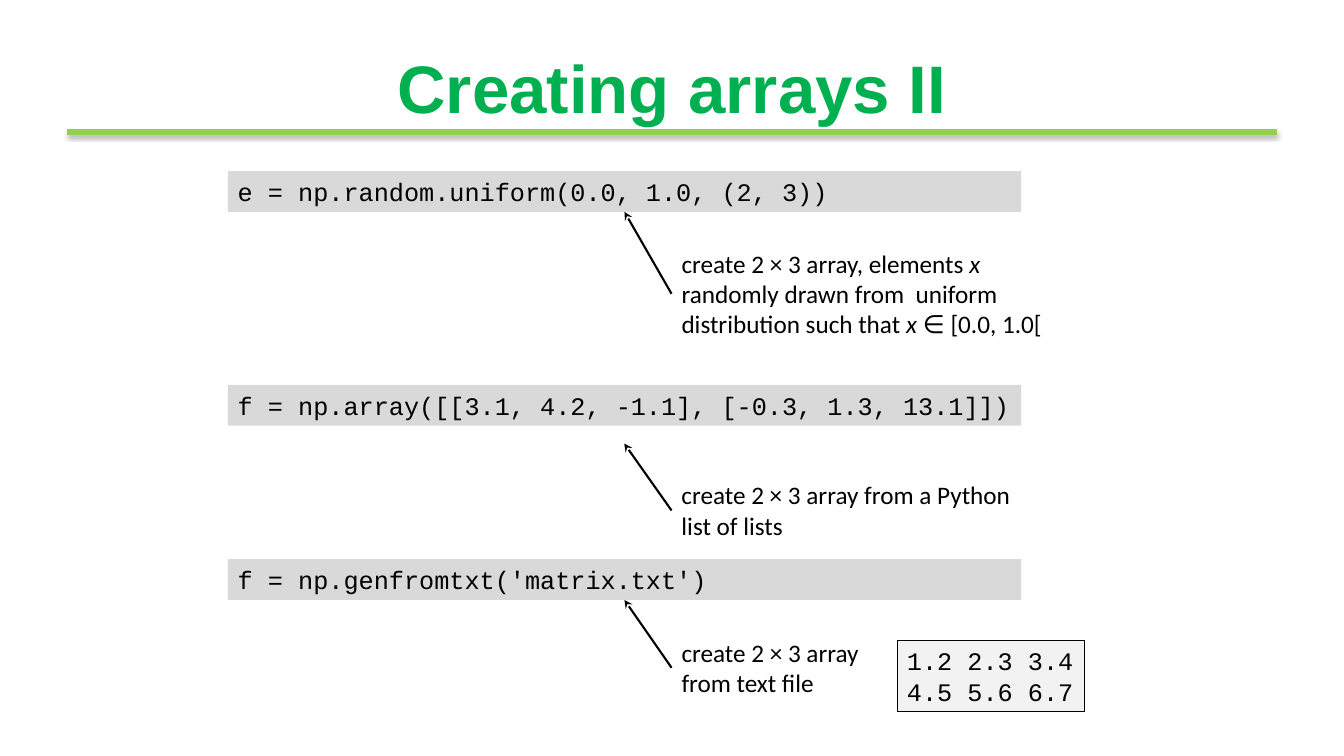
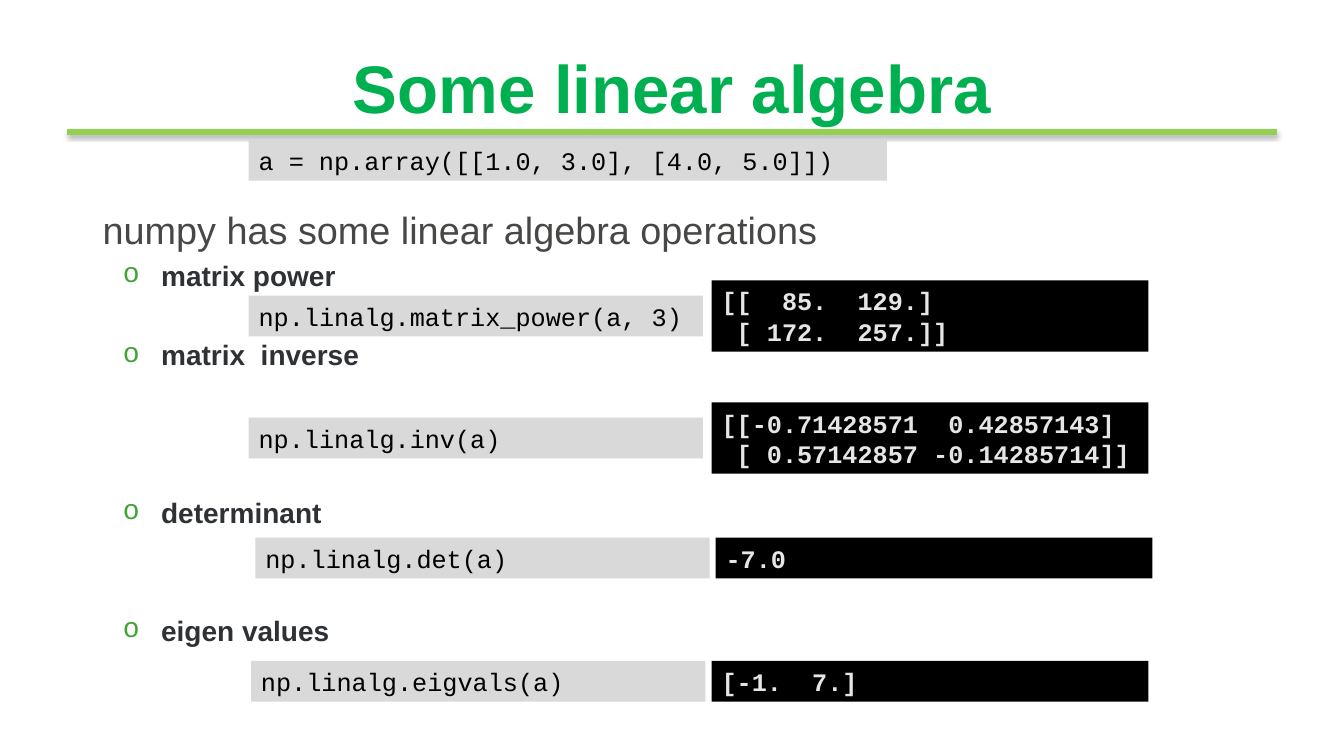
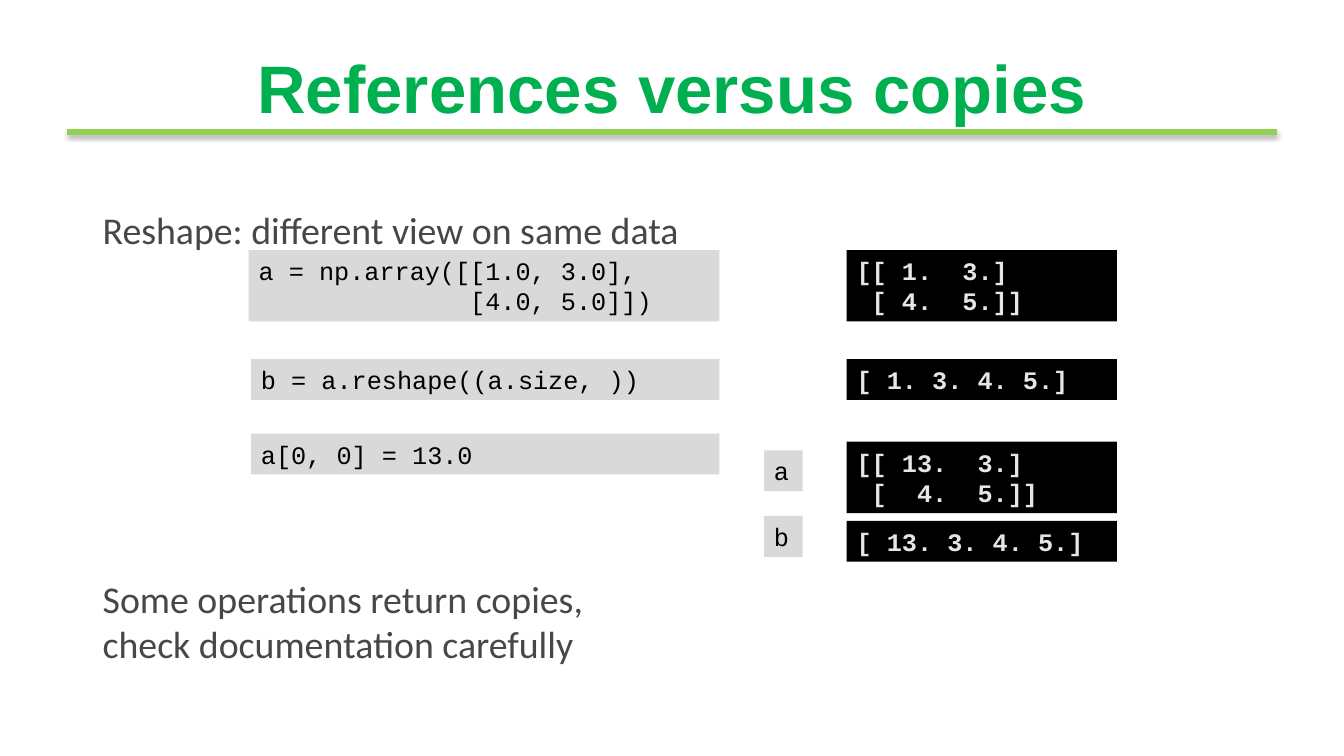
"""Build three slides about numpy arrays."""
from lxml import etree
from pptx import Presentation
from pptx.dml.color import RGBColor
from pptx.enum.shapes import MSO_CONNECTOR, MSO_SHAPE
from pptx.enum.text import MSO_ANCHOR, PP_ALIGN
from pptx.oxml.ns import qn
from pptx.util import Emu, Inches, Pt

STRAIGHT = MSO_CONNECTOR.STRAIGHT
RECT = MSO_SHAPE.RECTANGLE
MIDDLE, TOP = MSO_ANCHOR.MIDDLE, MSO_ANCHOR.TOP
LEFT, CENTER = PP_ALIGN.LEFT, PP_ALIGN.CENTER

C = {"title": "00B050", "rule": "92D050", "black": "000000", "code": "D9D9D9",
     "data": "F2F2F2", "output": "E7E6E6", "body": "474746",
     "item": "2E3135", "bullet": "41A336"}
LINE_FACTOR = {"Arial": 1.15, "Calibri": 1.22}
GAP = 4.8
WIDTH, HEIGHT = Inches(13.333), Inches(7.5)
LINE_H, PAD_H = 4.04, 1.36


def col(share):
    """Turn a percentage of the slide width into a length."""
    return Emu(round(WIDTH * share / 100))


def row(share):
    """Turn a percentage of the slide height into a length."""
    return Emu(round(HEIGHT * share / 100))


def rgb(name):
    """Look up a named colour."""
    return RGBColor.from_string(C[name])


def style(font, name, size, color, bold=False):
    """Set the face, size, colour and weight of a font."""
    font.name, font.size, font.bold = name, Pt(size), bold
    font.color.rgb = rgb(color)


def centred_box(x, mid, w, lines):
    """Return the frame of a box of text lines centred on a height."""
    h = PAD_H + LINE_H * lines
    return col(x), row(mid - h / 2), col(w), row(h)


def line(s, start, end, color, width):
    """Draw a straight connector and return it with its empty effect list."""
    ln = s.shapes.add_connector(STRAIGHT, col(start[0]), row(start[1]),
                                col(end[0]), row(end[1]))
    ln.line.color.rgb = rgb(color)
    ln.line.width = Pt(width)
    effects = etree.SubElement(ln._element.spPr, qn("a:effectLst"))
    return ln, effects


def titled_slide(prs, title):
    """Add a blank slide with the shared title and shadowed rule."""
    s = prs.slides.add_slide(prs.slide_layouts[6])
    _, effects = line(s, (5, 17.47), (95, 17.47), "rule", 4)
    shadow = etree.SubElement(effects, qn("a:outerShdw"), blurRad=str(Pt(3.1)),
                              dist=str(Pt(1.6)), dir="5400000", rotWithShape="0")
    black = etree.SubElement(shadow, qn("a:srgbClr"), val=C["black"])
    etree.SubElement(black, qn("a:alpha"), val="38000")
    tf = s.shapes.add_textbox(col(5), row(4.53), col(90), row(11.47)).text_frame
    tf.word_wrap = True
    tf.vertical_anchor = TOP
    tf.margin_top, tf.margin_bottom = Inches(0.12), 0
    tf.text = title
    p = tf.paragraphs[0]
    p.alignment = CENTER
    style(p.runs[0].font, "Arial", 48, "title", True)
    return s


def code_box(s, x, mid, w, text, fill="code", color="black", bold=False):
    """Add a filled box of monospaced lines."""
    sp = s.shapes.add_shape(RECT, *centred_box(x, mid, w, text.count("\n") + 1))
    sp.shadow.inherit = False
    sp.fill.solid()
    sp.fill.fore_color.rgb = rgb(fill)
    sp.line.fill.background()
    tf = sp.text_frame
    tf.word_wrap = True
    tf.vertical_anchor = MIDDLE
    tf.text = text
    for p in tf.paragraphs:
        p.alignment = LEFT
        style(p.runs[0].font, "Courier New", 18, color, bold)
    return sp


def output_box(s, x, mid, w, text):
    """Add a black box of printed output."""
    return code_box(s, x, mid, w, text, "black", "output", True)


def note(s, x, mid, w, text):
    """Add a note in which asterisks enclose italic words."""
    lines = text.split("\n")
    sp = s.shapes.add_textbox(*centred_box(x, mid, w, len(lines)))
    p = sp.text_frame.paragraphs[0]
    for n, words in enumerate(lines):
        if n:
            p.add_line_break()
        for i, part in enumerate(words.split("*")):
            if part:
                r = p.add_run()
                r.text = part
                style(r.font, "Calibri", 18, "black")
                r.font.italic = i % 2 == 1
    return sp


def arrow(s, label, code, tip=None):
    """Point from a note to a free tip or to the bottom of a code box."""
    ln, _ = line(s, (50, 50), tip or (50, 50), "black", 1.5)
    ln.begin_connect(label, 1)
    if not tip:
        ln.end_connect(code, 2)
    etree.SubElement(ln.line._get_or_add_ln(), qn("a:tailEnd"), type="stealth")


def add_bullet(p):
    """Give a paragraph a hanging round bullet."""
    p.level = 1
    pPr = p._p.get_or_add_pPr()
    pPr.set("marL", str(Inches(0.58)))
    pPr.set("indent", str(Inches(-0.38)))
    color = etree.SubElement(pPr, qn("a:buClr"))
    etree.SubElement(color, qn("a:srgbClr"), val=C["bullet"])
    etree.SubElement(pPr, qn("a:buFont"), typeface="Courier New")
    etree.SubElement(pPr, qn("a:buChar"), char="o")


def body(s, font, items):
    """Add body text from (text, lines skipped above, bulleted) items."""
    tf = s.shapes.add_textbox(col(6.9), row(26.67), col(86.25), row(63.47)).text_frame
    tf.word_wrap = True
    for n, (text, skipped, bulleted) in enumerate(items):
        p = tf.add_paragraph() if n else tf.paragraphs[0]
        p.text = text
        size, color = (20, "item") if bulleted else (27, "body")
        if n:
            p.space_before = Pt(GAP + skipped * (size * LINE_FACTOR[font] + GAP))
        if bulleted:
            add_bullet(p)
        for r in p.runs:
            style(r.font, font, size, color, bulleted)


def creating_arrays(prs):
    """Build the slide on creating arrays."""
    s = titled_slide(prs, "Creating arrays II")
    for code_mid, code, note_mid, w, text, tip in (
            (25.33, "e = np.random.uniform(0.0, 1.0, (2, 3))", 38.87, 28.35,
             "create 2 × 3 array, elements *x*\nrandomly drawn from  uniform\n"
             "distribution such that *x *∈ [0.0, 1.0[", None),
            (53.6, "f = np.array([[3.1, 4.2, -1.1], [-0.3, 1.3, 13.1]])", 67.53, 26.25,
             "create 2 × 3 array from a Python\nlist of lists", (46.45, 58.67)),
            (76.67, "f = np.genfromtxt('matrix.txt')", 88.33, 14.85,
             "create 2 × 3 array\nfrom text file", None)):
        box = code_box(s, 16.95, code_mid, 59.03, code)
        arrow(s, note(s, 49.97, note_mid, w, text), box, tip)
    data = code_box(s, 66.75, 89.4, 13.95, "1.2 2.3 3.4\n4.5 5.6 6.7", "data")
    data.line.color.rgb = rgb("black")
    data.line.width = Pt(0.75)


def linear_algebra(prs):
    """Build the slide on linear algebra."""
    s = titled_slide(prs, "Some linear algebra")
    body(s, "Arial", (("numpy has some linear algebra operations", 0, False),
                      ("matrix power", 0, True), ("matrix  inverse", 1, True),
                      ("determinant", 3, True), ("eigen values", 2, True)))
    code_box(s, 18.5, 21.2, 47.5, "a = np.array([[1.0, 3.0], [4.0, 5.0]])")
    for mid, x, out_x, code, output in (
            (41.8, 18.5, 52.95, "np.linalg.matrix_power(a, 3)",
             "[[  85.  129.]\n [ 172.  257.]]"),
            (57.95, 18.5, 52.95, "np.linalg.inv(a)",
             "[[-0.71428571  0.42857143]\n [ 0.57142857 -0.14285714]]"),
            (73.8, 19, 53.25, "np.linalg.det(a)", "-7.0"),
            (90.1, 18.68, 52.95, "np.linalg.eigvals(a)", "[-1.  7.]")):
        code_box(s, x, mid, 33.8, code)
        output_box(s, out_x, mid, 32.5, output)


def references(prs):
    """Build the slide on references and copies."""
    s = titled_slide(prs, "References versus copies")
    body(s, "Calibri", (
        ("Reshape: different view on same data", 0, False),
        ("Some operations return copies,\vcheck documentation carefully", 6, False)))
    for x, mid, w, text in (
            (18.5, 37.8, 35.03, "a = np.array([[1.0, 3.0],\n              [4.0, 5.0]])"),
            (18.68, 50.2, 34.85, "b = a.reshape((a.size, ))"),
            (18.68, 60.05, 34.85, "a[0, 0] = 13.0"),
            (56.85, 62.27, 2.87, "a"),
            (56.85, 70.95, 2.87, "b")):
        code_box(s, x, mid, w, text)
    for mid, text in ((37.8, "[[ 1.  3.]\n [ 4.  5.]]"), (50.2, "[ 1. 3. 4. 5.]"),
                      (63.15, "[[ 13.  3.]\n [  4.  5.]]"), (71.6, "[ 13. 3. 4. 5.]")):
        output_box(s, 63, mid, 20.1, text)


def main():
    """Build and save the presentation."""
    prs = Presentation()
    prs.slide_width, prs.slide_height = WIDTH, HEIGHT
    creating_arrays(prs)
    linear_algebra(prs)
    references(prs)
    prs.save("out.pptx")


if __name__ == "__main__":
    main()
